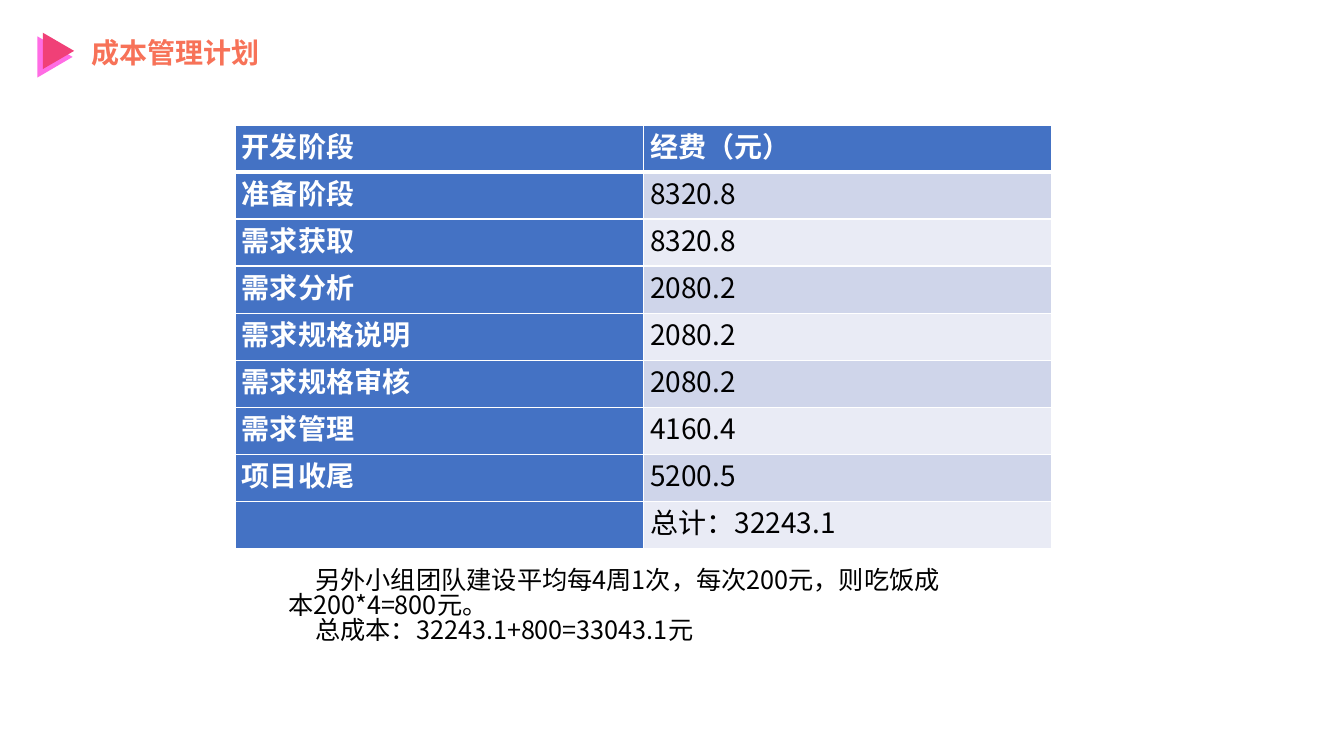
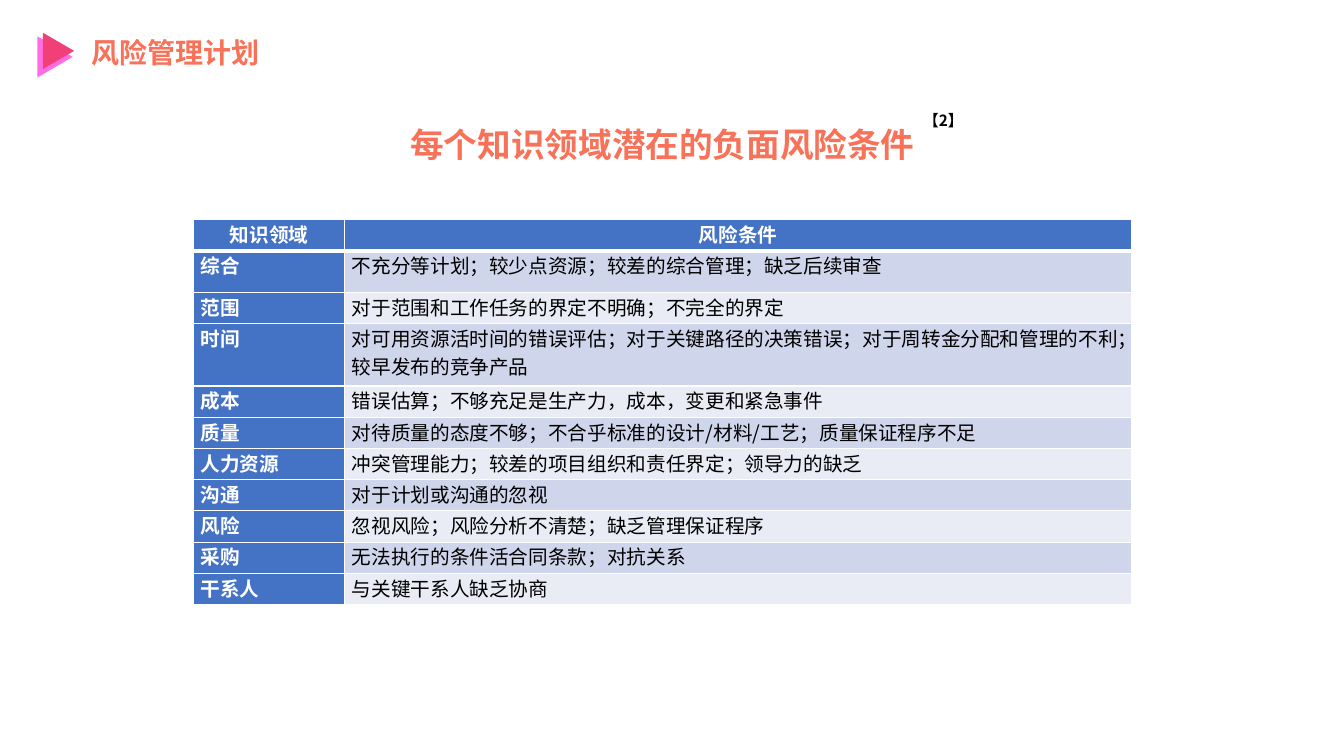
from lxml import etree
from pptx import Presentation
from pptx.dml.color import RGBColor
from pptx.enum import shapes, text
from pptx.oxml import ns
from pptx.util import Inches, Pt

FONT = "Noto Sans CJK SC"
COLORS = {
    "title": "F77258",
    "marker_back": "FF6CE4",
    "marker_front": "F04077",
    "head": "4472C4",
    "odd": "CFD5EA",
    "even": "E9EBF5",
    "white": "FFFFFF",
    "black": "000000",
}
TITLE_ONLY = 5
TIGHT = 0.83  # line spacing of text outside tables

COSTS = [
    ("开发阶段", "经费（元）"),
    ("准备阶段", "8320.8"),
    ("需求获取", "8320.8"),
    ("需求分析", "2080.2"),
    ("需求规格说明", "2080.2"),
    ("需求规格审核", "2080.2"),
    ("需求管理", "4160.4"),
    ("项目收尾", "5200.5"),
    ("", "总计：32243.1"),
]
COST_NOTES = [
    "另外小组团队建设平均每4周1次，每次200元，则吃饭成本200*4=800元。",
    "总成本：32243.1+800=33043.1元",
]
RISKS = [
    ("知识领域", "风险条件"),
    ("综合", "不充分等计划；较少点资源；较差的综合管理；缺乏后续审查"),
    ("范围", "对于范围和工作任务的界定不明确；不完全的界定"),
    ("时间", "对可用资源活时间的错误评估；对于关键路径的决策错误；"
             "对于周转金分配和管理的不利；较早发布的竞争产品"),
    ("成本", "错误估算；不够充足是生产力，成本，变更和紧急事件"),
    ("质量", "对待质量的态度不够；不合乎标准的设计/材料/工艺；质量保证程序不足"),
    ("人力资源", "冲突管理能力；较差的项目组织和责任界定；领导力的缺乏"),
    ("沟通", "对于计划或沟通的忽视"),
    ("风险", "忽视风险；风险分析不清楚；缺乏管理保证程序"),
    ("采购", "无法执行的条件活合同条款；对抗关系"),
    ("干系人", "与关键干系人缺乏协商"),
]


def rgb(name):
    return RGBColor.from_string(COLORS[name])


def style(paragraph, size, color, bold=False, align=text.PP_ALIGN.LEFT):
    """Format a paragraph and its runs, for Latin and East Asian text."""
    paragraph.alignment = align
    for run in paragraph.runs:
        run.font.size = Pt(size)
        run.font.bold = bold
        run.font.color.rgb = rgb(color)
        run.font.name = FONT
        east_asian = etree.SubElement(run.font._element, ns.qn("a:ea"))
        east_asian.set("typeface", FONT)


def add_text(slide, box, lines, size, color, indent=0, **look):
    frame = slide.shapes.add_textbox(*map(Inches, box)).text_frame
    frame.word_wrap = True
    frame.text = "\n".join(lines)
    for paragraph in frame.paragraphs:
        paragraph.line_spacing = TIGHT
        if indent:
            paragraph._p.get_or_add_pPr().set("indent", str(Inches(indent)))
        style(paragraph, size, color, **look)


def add_marker(slide):
    """Two overlapping triangles that point at the title."""
    marker = slide.shapes.add_group_shape()
    for box, color in (((0.34, 0.39, 0.41, 0.35), "marker_back"),
                       ((0.4, 0.35, 0.36, 0.31), "marker_front")):
        triangle = marker.shapes.add_shape(
            shapes.MSO_SHAPE.ISOSCELES_TRIANGLE, *map(Inches, box))
        triangle.rotation = 90
        triangle.shadow.inherit = False
        triangle.fill.solid()
        triangle.fill.fore_color.rgb = rgb(color)
        triangle.line.fill.background()


def add_titled_slide(prs, heading):
    slide = prs.slides.add_slide(prs.slide_layouts[TITLE_ONLY])
    title = slide.shapes.title
    title.left, title.top = Inches(0.81), Inches(0.33)
    title.width, title.height = Inches(2.22), Inches(0.44)
    frame = title.text_frame
    frame.text = heading
    frame.word_wrap = False
    frame.auto_size = text.MSO_AUTO_SIZE.NONE
    frame.vertical_anchor = text.MSO_ANCHOR.MIDDLE
    frame.paragraphs[0].line_spacing = TIGHT
    style(frame.paragraphs[0], 20, "title", bold=True)
    add_marker(slide)
    return slide


def set_borders(cell, **widths):
    """White cell borders; widths in points by side."""
    properties = cell._tc.get_or_add_tcPr()
    for side in "LRTB":
        line = etree.SubElement(properties, ns.qn(f"a:ln{side}"),
                                w=str(Pt(widths.get(side, 1))))
        fill = etree.SubElement(line, ns.qn("a:solidFill"))
        etree.SubElement(fill, ns.qn("a:srgbClr"), val=COLORS["white"])


def add_grid(slide, left, top, widths, heights, rows, size, head_align):
    """Table with a header row, a header column and banded rows."""
    table = slide.shapes.add_table(
        len(rows), len(widths), Inches(left), Inches(top),
        Inches(sum(widths)), Inches(sum(heights))).table
    for column, width in zip(table.columns, widths):
        column.width = Inches(width)
    for r, (height, values) in enumerate(zip(heights, rows)):
        table.rows[r].height = Inches(height)
        for c, value in enumerate(values):
            cell = table.cell(r, c)
            is_head = r == 0 or c == 0
            cell.margin_left = cell.margin_right = Inches(0.07)
            cell.margin_top = cell.margin_bottom = 0
            set_borders(cell, T=3 if r == 1 else 1, B=3 if r == 0 else 1)
            cell.fill.solid()
            band = "odd" if r % 2 else "even"
            cell.fill.fore_color.rgb = rgb("head" if is_head else band)
            cell.text = value
            style(cell.text_frame.paragraphs[0], size,
                  "white" if is_head else "black", bold=is_head,
                  align=head_align if r == 0 else text.PP_ALIGN.LEFT)


def add_cost_slide(prs):
    slide = add_titled_slide(prs, "成本管理计划")
    heights = [4.2 / len(COSTS)] * len(COSTS)
    add_grid(slide, 2.33, 1.24, [4.05, 4.05], heights, COSTS, 20,
             text.PP_ALIGN.LEFT)
    add_text(slide, (2.76, 5.6, 6.67, 1.01), COST_NOTES, 18, "black",
             indent=0.27)


def add_risk_slide(prs):
    slide = add_titled_slide(prs, "风险管理计划")
    add_text(slide, (3.48, 1.25, 6.18, 0.5),
             ["每个知识领域潜在的负面风险条件"], 24, "title", bold=True,
             align=text.PP_ALIGN.CENTER)
    # Two rows are taller than the rest
    taller = {"综合": 0.41, "时间": 0.62}
    heights = [taller.get(area, 0.31) for area, _ in RISKS]
    add_grid(slide, 1.92, 2.18, [1.5, 7.8], heights, RISKS, 14,
             text.PP_ALIGN.CENTER)
    # Citation mark beside the heading
    add_text(slide, (9.06, 1.08, 0.61, 0.29), ["【2】"], 11, "black", bold=True)


def main():
    prs = Presentation()
    prs.slide_width, prs.slide_height = Inches(13.33), Inches(7.5)
    add_cost_slide(prs)
    add_risk_slide(prs)
    prs.save("out.pptx")


if __name__ == "__main__":
    main()
